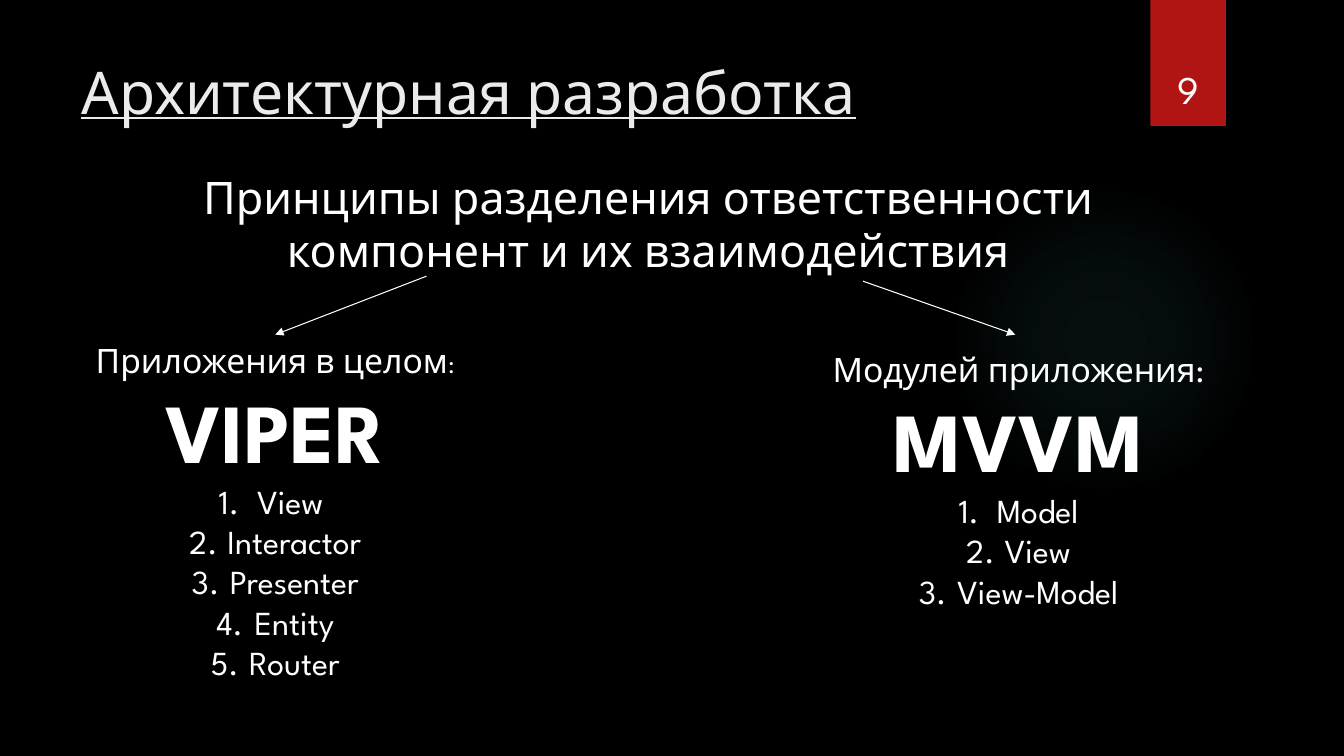
from lxml import etree
from pptx import Presentation
from pptx.dml.color import RGBColor
from pptx.enum.shapes import MSO_CONNECTOR as Link, MSO_SHAPE as Form
from pptx.enum.text import MSO_ANCHOR as Anchor, MSO_AUTO_SIZE as Fit, PP_ALIGN as Align
from pptx.oxml import parse_xml
from pptx.oxml.ns import nsdecls, qn
from pptx.util import Inches, Pt

FONT = "League Spartan"
BLACK, WHITE, PALE, RED, TEAL = "000000", "FFFFFF", "EBEBEB", "B01513", "50B9C1"
HEAD = "Архитектурная разработка"
LEAD = "Принципы разделения ответственности компонент и их взаимодействия"
PAGE = "9"
# box, label runs, label alignment, wrap, pattern name, its parts
PARTS = [
    ((0.71, 3.32, 4.04, 3.53), [("Приложения в целом", 24), (":", 18)], Align.CENTER, True,
     "VIPER", ["View ", "Interactor", "Presenter", "Entity", "Router"]),
    ((8.16, 3.41, 3.99, 2.73), [("Модулей приложения:", 24)], Align.LEFT, False,
     "MVVM", ["Model", "View", "View-Model"]),
]
ARROWS = [(4.23, 2.74, 2.73, 3.32), (8.56, 2.79, 10.07, 3.32)]
GLOW = [(0, 7), (36, 6), (69, 0)]  # stop and opacity, percent


def color(code):
    return RGBColor.from_string(code)


def inches(box):
    return [Inches(n) for n in box]


def shape(form, box, fill):
    item = slide.shapes.add_shape(form, *inches(box))
    item.shadow.inherit = False
    item.fill.solid()
    item.fill.fore_color.rgb = color(fill)
    item.line.fill.background()
    return item


def frame(box, wrap=True, anchor=Anchor.TOP, fit=Fit.NONE):
    text = slide.shapes.add_textbox(*inches(box)).text_frame
    text.word_wrap, text.vertical_anchor, text.auto_size = wrap, anchor, fit
    return text


def write(text, runs, align=Align.CENTER, tint=WHITE, bold=False, line=False, count=False):
    """Add a paragraph of (words, size) runs; count numbers it."""
    para = text.paragraphs[0]
    if para.runs:
        para = text.add_paragraph()
    para.alignment = align
    for words, size in runs:
        run = para.add_run()
        run.text = words
        font = run.font
        font.name, font.size, font.bold, font.underline = FONT, Pt(size), bold, line
        font.color.rgb = color(tint)
    if count:
        props = para._p.get_or_add_pPr()
        props.set("marL", str(Inches(0.38)))
        props.set("indent", str(-Inches(0.38)))
        etree.SubElement(props, qn("a:buFont"), typeface="+mj-lt")
        etree.SubElement(props, qn("a:buAutoNum"), type="arabicPeriod")


def glow(item):
    """Turn the solid fill into a faint round gradient."""
    stops = "".join(
        f'<a:gs pos="{pos * 1000}"><a:srgbClr val="{TEAL}">'
        f'<a:alpha val="{alpha * 1000}"/></a:srgbClr></a:gs>' for pos, alpha in GLOW)
    grad = parse_xml(
        f'<a:gradFill {nsdecls("a")}><a:gsLst>{stops}</a:gsLst><a:path path="circle">'
        '<a:fillToRect l="50000" t="50000" r="50000" b="50000"/></a:path></a:gradFill>')
    props = item._element.spPr
    props.replace(props.find(qn("a:solidFill")), grad)


def arrow(ends):
    link = slide.shapes.add_connector(Link.STRAIGHT, *inches(ends))
    link.line.color.rgb = color(WHITE)
    link.line.width = Pt(0.75)
    etree.SubElement(link.line._get_or_add_ln(), qn("a:tailEnd"), type="triangle")
    etree.SubElement(link._element.spPr, qn("a:effectLst"))


deck = Presentation()
deck.slide_width, deck.slide_height = Inches(13.33), Inches(7.5)
slide = deck.slides.add_slide(deck.slide_layouts[6])
slide.background.fill.solid()
slide.background.fill.fore_color.rgb = color(BLACK)

glow(shape(Form.OVAL, (9.41, 1.83, 3.08, 3.08), TEAL))
shape(Form.RECTANGLE, (11.41, 0, 0.75, 1.25), RED)
write(frame((0.71, 0.5, 10.29, 1.53)), [(HEAD, 42)], Align.LEFT, PALE, line=True)
write(frame((1.54, 1.63, 9.78, 4.59)), [(LEAD, 32)])
for ends in ARROWS:
    arrow(ends)
for box, label, align, wrap, name, items in PARTS:
    text = frame(box, wrap, fit=Fit.SHAPE_TO_FIT_TEXT)
    write(text, label, align)
    write(text, [(name, 60)], bold=True)
    for item in items:
        write(text, [(item, 24)], count=True)
write(frame((11.32, 0.32, 0.92, 0.84), anchor=Anchor.BOTTOM), [(PAGE, 28)])
deck.save("out.pptx")
